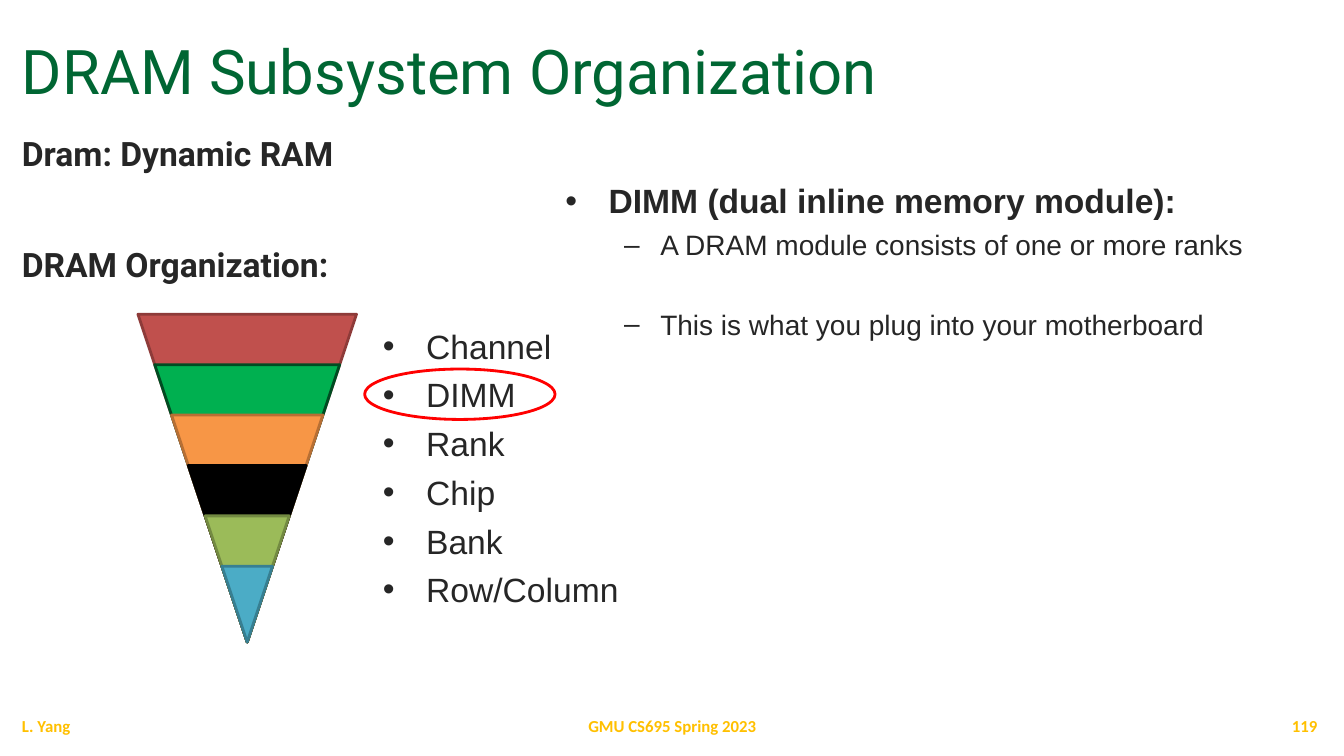
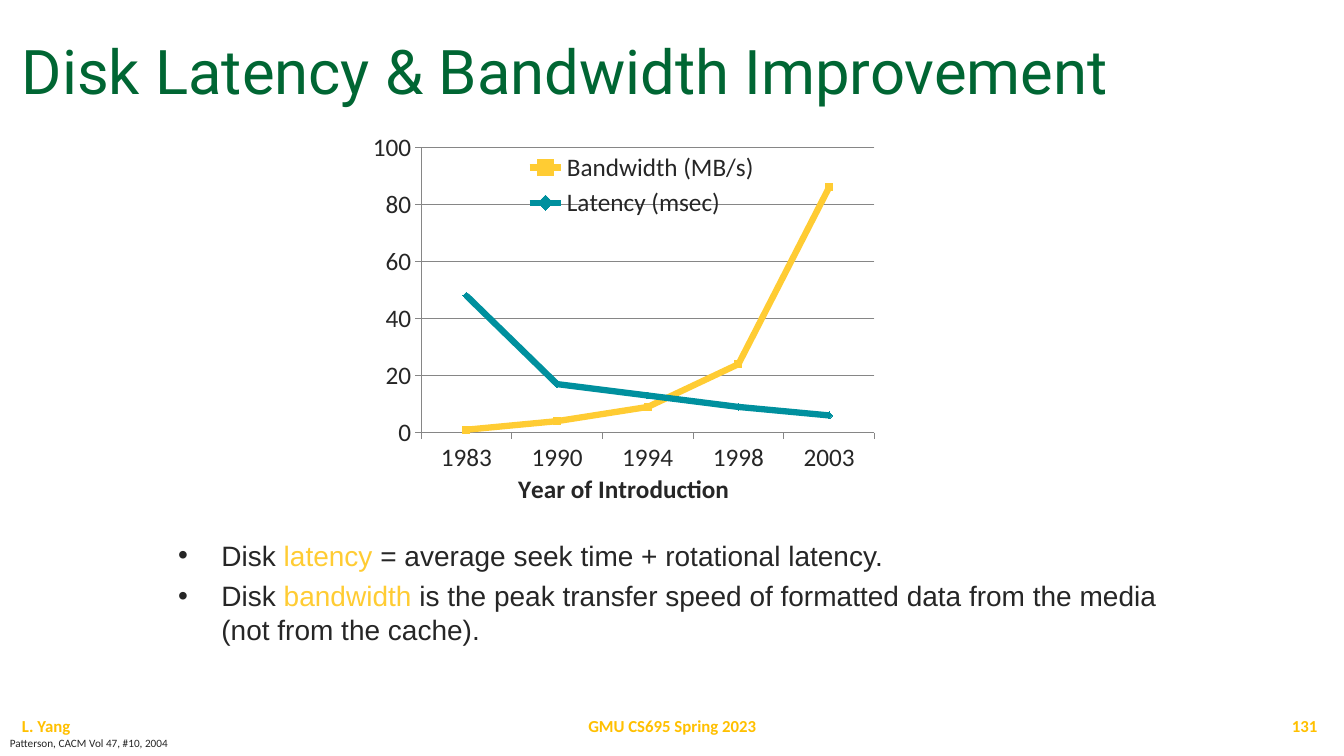
"""Build two lecture slides on memory organization and disk trends."""
from dataclasses import dataclass

from lxml import etree
from pptx import Presentation
from pptx.chart.data import CategoryChartData
from pptx.dml.color import RGBColor
from pptx.enum.chart import XL_CHART_TYPE, XL_LEGEND_POSITION, XL_MARKER_STYLE, XL_TICK_MARK
from pptx.enum.shapes import MSO_SHAPE
from pptx.enum.text import MSO_ANCHOR, PP_ALIGN
from pptx.oxml.ns import qn
from pptx.slide import Slide
from pptx.util import Cm, Pt

LINE_MARKERS = XL_CHART_TYPE.LINE_MARKERS
LEGEND_RIGHT = XL_LEGEND_POSITION.RIGHT
SQUARE, DIAMOND = XL_MARKER_STYLE.SQUARE, XL_MARKER_STYLE.DIAMOND
TICK_OUT = XL_TICK_MARK.OUTSIDE
MERGE, OVAL = MSO_SHAPE.FLOWCHART_MERGE, MSO_SHAPE.OVAL
TOP, MIDDLE, BOTTOM = MSO_ANCHOR.TOP, MSO_ANCHOR.MIDDLE, MSO_ANCHOR.BOTTOM
LEFT, CENTER, RIGHT = PP_ALIGN.LEFT, PP_ALIGN.CENTER, PP_ALIGN.RIGHT

COLORS = {
    "title": "006633",
    "text": "262626",
    "footer": "FFC000",
    "gold": "FFCC33",
    "teal": "00909E",
    "grid": "868686",
    "ring": "FF0000",
}
TITLE_FONT, BODY_FONT, SMALL_FONT = "Roboto", "Arial", "Calibri"


@dataclass(frozen=True)
class Area:
    """Position and size in centimetres."""
    left: float
    top: float
    width: float
    height: float

    def lengths(self) -> tuple[Cm, Cm, Cm, Cm]:
        """Return the four lengths that shapes are placed with."""
        return Cm(self.left), Cm(self.top), Cm(self.width), Cm(self.height)


@dataclass(frozen=True)
class Line:
    """One paragraph, with spans given as text and colour name."""
    spans: tuple[tuple[str, str], ...]
    size: float
    font: str = BODY_FONT
    bold: bool = False
    bullet: str = ""
    margin: float = 0
    hanging: float = 0
    before: float = 0
    spacing: float = 1.0
    align: PP_ALIGN = LEFT


@dataclass(frozen=True)
class Layer:
    """One level of the funnel with its fill and outline."""
    fill: str
    outline: str


@dataclass(frozen=True)
class Trend:
    """One chart series."""
    name: str
    values: tuple[float, ...]
    color: str
    marker: XL_MARKER_STYLE


@dataclass(frozen=True)
class Footer:
    """One footer field."""
    area: Area
    align: PP_ALIGN


TITLE_AREA = Area(0.3, 0.43, 33.15, 2.41)
FOOTERS = (
    Footer(Area(0.3, 17.78, 7.62, 1.02), LEFT),
    Footer(Area(11.23, 17.78, 11.43, 1.02), CENTER),
    Footer(Area(25.83, 17.78, 7.62, 1.02), RIGHT),
)
LAYERS = (
    Layer("C0504D", "8E3B39"),
    Layer("00B050", "004C22"),
    Layer("F79646", "B76F34"),
    Layer("000000", "000000"),
    Layer("9BBB59", "738A42"),
    Layer("4BACC6", "377F92"),
)
FUNNEL_CENTER, FUNNEL_BOTTOM, FUNNEL_HEIGHT, LAYER_STEP = 6.23, 16.18, 8.26, 1.27
LEVELS = ("Channel", "DIMM", "Rank", "Chip", "Bank", "Row/Column")
YEARS = ("1983", "1990", "1994", "1998", "2003")
TRENDS = (
    Trend("Bandwidth (MB/s)", (1, 4, 9, 24, 86), "gold", SQUARE),
    Trend("Latency (msec)", (48, 17, 13, 9, 6), "teal", DIAMOND),
)


def rgb(value: str) -> RGBColor:
    """Look a colour name up, or take the value as hex."""
    return RGBColor.from_string(COLORS.get(value, value))


def apply(target: object, values: dict) -> None:
    """Set every attribute in a dict of format values."""
    for name, value in values.items():
        setattr(target, name, value)


def plain(text: str, size: float, color: str = "text", **options) -> Line:
    """Make a paragraph of a single colour."""
    return Line(((text, color),), size, **options)


def bulleted(*spans: tuple[str, str], size: float, before: float = 0, bold: bool = False) -> Line:
    """Make a first-level bullet."""
    return Line(spans, size, bold=bold, bullet="•", margin=1.09, hanging=1.09, before=before)


def dashed(text: str, before: float) -> Line:
    """Make a second-level bullet."""
    return plain(text, 20, bullet="–", margin=2.39, hanging=0.91, before=before)


def add_text(page: Slide, area: Area, lines: list[Line],
             anchor: MSO_ANCHOR = TOP, wrap: bool = True) -> None:
    """Add a text box with formatted paragraphs."""
    frame = page.shapes.add_textbox(*area.lengths()).text_frame
    apply(frame, {"word_wrap": wrap, "vertical_anchor": anchor})
    for index, line in enumerate(lines):
        para = frame.add_paragraph() if index else frame.paragraphs[0]
        apply(para, {"alignment": line.align, "line_spacing": line.spacing,
                     "space_before": Pt(line.before)})
        if line.bullet:
            properties = para._p.get_or_add_pPr()
            properties.set("marL", str(Cm(line.margin)))
            properties.set("indent", str(-Cm(line.hanging)))
            etree.SubElement(properties, qn("a:buFont")).set("typeface", BODY_FONT)
            etree.SubElement(properties, qn("a:buChar")).set("char", line.bullet)
        for text, color in line.spans:
            span = para.add_run()
            span.text = text
            apply(span.font, {"name": line.font, "size": Pt(line.size), "bold": line.bold})
            span.font.color.rgb = rgb(color)


def add_outlined(page: Slide, kind: MSO_SHAPE, area: Area, outline: str, fill: str = "") -> None:
    """Add a preset shape with a two-point outline and an optional fill."""
    shape = page.shapes.add_shape(kind, *area.lengths())
    shape.shadow.inherit = False
    shape.line.color.rgb = rgb(outline)
    shape.line.width = Pt(2)
    if fill:
        shape.fill.solid()
        shape.fill.fore_color.rgb = rgb(fill)
    else:
        shape.fill.background()


def add_page(deck: Presentation, title: str, number: int) -> Slide:
    """Add a blank page with the shared title and footers."""
    page = deck.slides.add_slide(deck.slide_layouts[6])
    heading = plain(title, 44, "title", font=TITLE_FONT, spacing=0.9)
    add_text(page, TITLE_AREA, [heading], BOTTOM)
    for footer, text in zip(FOOTERS, ("L. Yang", "GMU CS695 Spring 2023", str(number))):
        line = plain(text, 12, "footer", font=SMALL_FONT, bold=True, align=footer.align)
        add_text(page, footer.area, [line], MIDDLE)
    return page


def add_funnel(page: Slide) -> None:
    """Stack ever smaller triangles that share one lower tip."""
    for index, layer in enumerate(LAYERS):
        height = FUNNEL_HEIGHT - index * LAYER_STEP
        width = height * 2 / 3
        area = Area(FUNNEL_CENTER - width / 2, FUNNEL_BOTTOM - height, width, height)
        add_outlined(page, MERGE, area, layer.outline, layer.fill)


def set_layout(parent: etree._Element, index: int, inner: bool, **fractions: float) -> None:
    """Fix a chart part at fractions of the chart size."""
    for old in parent.findall(qn("c:layout")):
        parent.remove(old)
    layout = etree.Element(qn("c:layout"))
    manual = etree.SubElement(layout, qn("c:manualLayout"))
    settings = {"layoutTarget": "inner"} if inner else {}
    settings |= {"xMode": "edge", "yMode": "edge"}
    settings |= {name: str(value) for name, value in fractions.items()}
    for name, value in settings.items():
        etree.SubElement(manual, qn(f"c:{name}")).set("val", value)
    parent.insert(index, layout)


def add_trend_chart(page: Slide, area: Area) -> None:
    """Add the line chart of bandwidth and latency."""
    data = CategoryChartData()
    data.categories = YEARS
    for trend in TRENDS:
        data.add_series(trend.name, trend.values)
    chart = page.shapes.add_chart(LINE_MARKERS, *area.lengths(), data).chart
    apply(chart, {"has_title": False, "has_legend": True})
    apply(chart.font, {"name": SMALL_FONT, "size": Pt(18)})
    chart.font.color.rgb = rgb("text")
    chart.plots[0].vary_by_categories = False
    for series, trend in zip(chart.plots[0].series, TRENDS):
        series.smooth = False
        series.format.line.width = Pt(4.5)
        apply(series.marker, {"style": trend.marker, "size": 5})
        series.marker.format.fill.solid()
        series.marker.format.fill.fore_color.rgb = rgb(trend.color)
        for line in (series.format.line, series.marker.format.line):
            line.color.rgb = rgb(trend.color)
    years, amounts = chart.category_axis, chart.value_axis
    apply(amounts, {"minimum_scale": 0, "maximum_scale": 100, "major_unit": 20,
                    "has_major_gridlines": True})
    for axis in (years, amounts):
        axis.major_tick_mark = TICK_OUT
    for part in (years, amounts, amounts.major_gridlines):
        part.format.line.color.rgb = rgb("grid")
        part.format.line.width = Pt(0.75)
    para = years.axis_title.text_frame.paragraphs[0]
    span = para.add_run()
    span.text = "Year of Introduction"
    apply(span.font, {"name": SMALL_FONT, "size": Pt(18), "bold": True})
    span.font.color.rgb = rgb("text")
    apply(chart.legend, {"position": LEGEND_RIGHT, "include_in_layout": True})
    set_layout(chart.legend._element, 1, False, x=0.28, y=0.08, w=0.4, h=0.19)
    plot_area = chart._chartSpace.chart.plotArea
    set_layout(plot_area, 0, True, x=0.12, y=0.08, w=0.74, h=0.72)


def build_memory_page(deck: Presentation) -> None:
    """Build the page on the memory hierarchy."""
    page = add_page(deck, "DRAM Subsystem Organization", 119)
    add_funnel(page)
    add_text(page, Area(0.3, 3.23, 33.15, 14.3), [
        plain("Dram: Dynamic RAM", 24, font=TITLE_FONT, bold=True),
        plain("DRAM Organization:", 24, font=TITLE_FONT, bold=True, before=50),
    ])
    add_text(page, Area(9.4, 8.08, 9.75, 9.27), [
        bulleted((level, "text"), size=24, before=6 if index else 0)
        for index, level in enumerate(LEVELS)
    ])
    add_text(page, Area(14, 4.42, 18.11, 8.41), [
        bulleted(("DIMM (dual inline memory module):", "text"), size=24, bold=True),
        dashed("A DRAM module consists of one or more ranks", 5),
        dashed("This is what you plug into your motherboard", 33),
    ])
    add_outlined(page, OVAL, Area(9.19, 9.3, 4.8, 1.27), "ring")


def build_disk_page(deck: Presentation) -> None:
    """Build the page on disk trends."""
    page = add_page(deck, "Disk Latency & Bandwidth Improvement", 131)
    add_text(page, Area(4.24, 13.44, 25.37, 4.5), [
        bulleted(("Disk ", "text"), ("latency", "gold"),
                 (" = average seek time + rotational latency.", "text"), size=20),
        bulleted(("Disk ", "text"), ("bandwidth", "gold"),
                 (" is the peak transfer speed of formatted data from the media "
                  "(not from the cache).", "text"), size=20, before=5),
    ])
    citation = plain("Patterson, CACM Vol 47, #10, 2004", 8, font=SMALL_FONT)
    add_text(page, Area(0, 18.44, 4.55, 0.61), [citation], wrap=False)
    add_trend_chart(page, Area(8.76, 2.92, 15.44, 9.98))


def main() -> None:
    """Build and save the deck."""
    deck = Presentation()
    apply(deck, {"slide_width": Cm(33.87), "slide_height": Cm(19.05)})
    build_memory_page(deck)
    build_disk_page(deck)
    deck.save("out.pptx")


if __name__ == "__main__":
    main()
